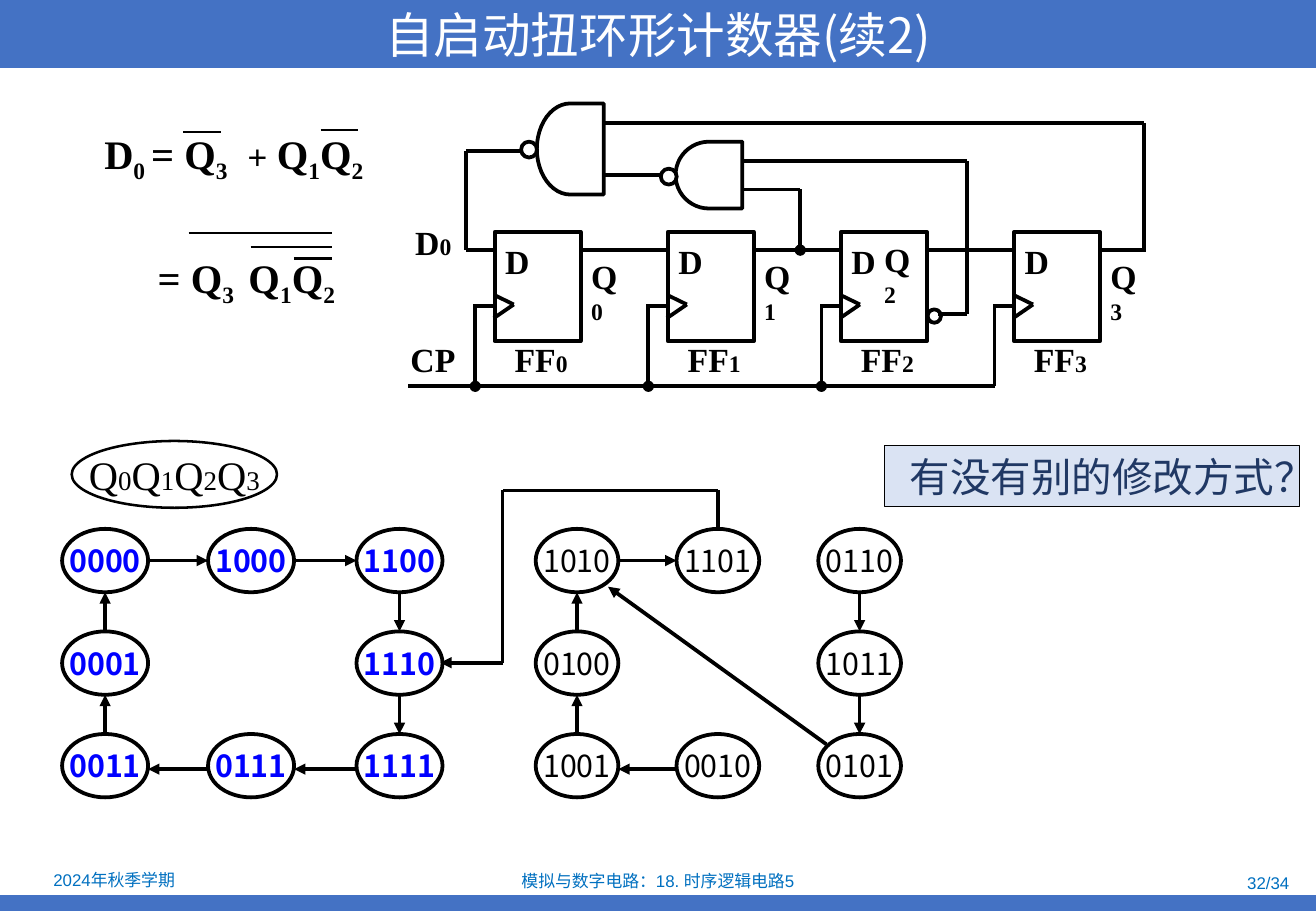
from lxml.etree import SubElement
from pptx import Presentation
from pptx.dml.color import RGBColor
from pptx.enum.shapes import MSO_CONNECTOR as Connector, MSO_SHAPE as Shape
from pptx.enum.text import MSO_ANCHOR as Anchor, MSO_AUTO_SIZE as AutoSize, PP_ALIGN as Align
from pptx.oxml.ns import qn
from pptx.util import Pt

SERIF, SANS, CHINESE = "Times New Roman", "Arial", "Noto Sans CJK SC"
BLACK, WHITE, BLUE, BAND, FOOTER = "000000", "FFFFFF", "0000FF", "4472C4", "0070C0"
WIRE = 2.25
FLIP_FLOP_LEFT, FLIP_FLOP_PITCH, FLIP_FLOP_WIDTH = 293.2, 102.6, 51
DATA_Y, CLOCK_Y, BUS_Y = 148.3, 181.5, 229
STATE_TOP, STATE_PITCH, STATE_HEIGHT = 313.5, 60.8, 37.6


def color(value):
    return RGBColor.from_string(value)


def symbols(*pieces, **subscript):
    """Runs that alternate between plain text and subscripts."""
    return [(piece, subscript if index % 2 else {}) for index, piece in enumerate(pieces)]


def add_run(paragraph, text, font=SERIF, size=20, bold=False, fill=BLACK, baseline=0):
    run = paragraph.add_run()
    run.text = text
    run.font.name = font
    run.font.size = Pt(size)
    run.font.bold = bold
    run.font.color.rgb = color(fill)
    properties = run._r.get_or_add_rPr()
    if baseline:
        properties.set("baseline", str(baseline))
    SubElement(properties, qn("a:ea"), typeface=CHINESE)


def write(shape, runs, align=Align.LEFT, anchor=Anchor.MIDDLE, wrap=False, inset=None,
          grow=False, **style):
    """Fill a shape with one paragraph; runs is a string or (text, overrides) pairs."""
    frame = shape.text_frame
    frame.word_wrap = wrap
    frame.vertical_anchor = anchor
    if grow:
        frame.auto_size = AutoSize.SHAPE_TO_FIT_TEXT
    if inset is not None:
        frame.margin_left = frame.margin_right = Pt(inset)
        frame.margin_top = frame.margin_bottom = Pt(inset)
    paragraph = frame.paragraphs[0]
    paragraph.alignment = align
    for text, overrides in [(runs, {})] if isinstance(runs, str) else runs:
        add_run(paragraph, text, **{**style, **overrides})


def add_text(slide, left, top, width, height, runs, **style):
    write(slide.shapes.add_textbox(Pt(left), Pt(top), Pt(width), Pt(height)), runs, **style)


def add_label(slide, left, top, width, *pieces):
    add_text(slide, left, top, width, 31, symbols(*pieces, size=14),
             anchor=Anchor.TOP, grow=True, bold=True)


def add_formula(slide, left, top, width, runs):
    add_text(slide, left, top, width, 36, runs,
             anchor=Anchor.TOP, grow=True, size=24, bold=True)


def add_shape(slide, kind, left, top, width, height, fill=None, line=BLACK, weight=WIRE):
    shape = slide.shapes.add_shape(kind, Pt(left), Pt(top), Pt(width), Pt(height))
    shape.shadow.inherit = False
    if fill:
        shape.fill.solid()
        shape.fill.fore_color.rgb = color(fill)
    else:
        shape.fill.background()
    if line:
        shape.line.color.rgb = color(line)
        shape.line.width = Pt(weight)
    else:
        shape.line.fill.background()
    return shape


def add_line(slide, x1, y1, x2, y2, weight=WIRE, tail=None):
    """Straight line; tail is the type of the end mark at (x2, y2)."""
    connector = slide.shapes.add_connector(Connector.STRAIGHT, Pt(x1), Pt(y1), Pt(x2), Pt(y2))
    connector.line.color.rgb = color(BLACK)
    connector.line.width = Pt(weight)
    if tail:
        SubElement(connector.line._get_or_add_ln(), qn("a:tailEnd"), type=tail)
    SubElement(connector._element.spPr, qn("a:effectLst"))


def add_path(slide, *points, tail=None):
    for start, end in zip(points, points[1:]):
        add_line(slide, *start, *end, tail=tail if end == points[-1] else None)


def add_flip_flop(slide, index):
    left = FLIP_FLOP_LEFT + index * FLIP_FLOP_PITCH
    right = left + FLIP_FLOP_WIDTH
    clock_x = left - 11.5
    add_label(slide, left - 0.8, 139, 28.8, "D")
    add_shape(slide, Shape.RECTANGLE, left, 137.5, FLIP_FLOP_WIDTH, 64.8)
    add_path(slide, (left, 175), (left + 11.3, 180.5), (left - 0.5, 188.6))
    add_label(slide, left + 4.7, 197.3, 46, "FF", str(index))
    if index == 2:
        add_label(slide, left + 18.6, 138.2, 36.7, "Q", "2")
    else:
        add_label(slide, right - 0.9, 148.3, 36.7, "Q", str(index))
    add_line(slide, clock_x, CLOCK_Y, left, CLOCK_Y)
    add_line(slide, clock_x, CLOCK_Y - 1, clock_x, BUS_Y, tail="oval" if index < 3 else None)
    output_length = FLIP_FLOP_PITCH - FLIP_FLOP_WIDTH if index < 3 else 27
    add_line(slide, right, DATA_Y, right + output_length, DATA_Y)


def add_nand(slide, left, top, width, height, bubble_left, bubble_top):
    gate = add_shape(slide, Shape.FLOWCHART_DELAY, left, top, width, height, WHITE)
    gate.rotation = 180
    add_shape(slide, Shape.OVAL, bubble_left, bubble_top, 9.4, 9.4, WHITE)


def add_circuit(slide):
    for index in range(4):
        add_flip_flop(slide, index)
    add_shape(slide, Shape.OVAL, 549.8, 183.4, 7.9, 7.9)
    add_line(slide, 242, BUS_Y, 590, BUS_Y)
    add_label(slide, 239, 128.2, 36, "D", "0")
    add_label(slide, 236.2, 197.3, 41, "CP")
    add_path(slide, (293.2, DATA_Y), (276.2, DATA_Y), (276.2, 89.5), (309.6, 89.5))
    add_path(slide, (678.2, DATA_Y), (678.2, 72.7), (357.8, 72.7))
    add_path(slide, (556, 186.3), (573.1, 186.3), (573.1, 95.3), (440, 95.3))
    add_path(slide, (440, 112.3), (474.3, 112.3), (474.3, DATA_Y), tail="oval")
    add_line(slide, 391.7, 103.8, 357.8, 103.8)
    add_nand(slide, 400.4, 84, 39.6, 39.6, 391.7, 100)
    add_nand(slide, 318.2, 61.3, 39.6, 54, 308.9, 84)


def add_formulas(slide):
    base = dict(baseline=-25000)
    product = symbols("Q", "1", "Q", "2", **base)
    plus = ("+ ", dict(font=SANS, size=20, bold=False))
    add_formula(slide, 54.7, 72.7, 90, symbols("D", "0 ", "= Q", "3", **base))
    add_formula(slide, 139.7, 72.7, 85, [plus] + product)
    add_formula(slide, 86.4, 146.2, 60.5, symbols("= Q", "3", **base))
    add_formula(slide, 140.2, 146.2, 68, product)
    for left, right, y in ((108.7, 131, 78.3), (190, 212.4, 77), (174.2, 196.6, 153.4),
                           (148.5, 196.6, 146.3), (111.8, 196.6, 138)):
        add_line(slide, left, y, right, y, weight=1.5)


def add_states(slide, rows, columns, width, transitions, **style):
    """Grid of states, with an arrow for each (start, end) transition."""
    centers = {}
    for row, codes in enumerate(rows):
        top = STATE_TOP + row * STATE_PITCH
        for left, code in zip(columns, codes):
            if code:
                centers[code] = left + width / 2, top + STATE_HEIGHT / 2
                state = add_shape(slide, Shape.OVAL, left, top, width, STATE_HEIGHT)
                write(state, code, align=Align.CENTER, inset=0, font=CHINESE, size=18, **style)
    for start, end in transitions:
        (x1, y1), (x2, y2) = centers[start], centers[end]
        if x1 == x2:
            reach = STATE_HEIGHT / 2 if y2 > y1 else -STATE_HEIGHT / 2
            add_line(slide, x1, y1 + reach, x2, y2 - reach, tail="triangle")
        else:
            reach = width / 2 if x2 > x1 else -width / 2
            y = y1 if x2 > x1 else y1 + 2
            add_line(slide, x1 + reach, y, x2 - reach, y, tail="triangle")


def add_state_diagram(slide):
    legend = add_shape(slide, Shape.OVAL, 42.5, 261.4, 121.7, 39.6, weight=1.5)
    write(legend, symbols("Q", "0", "Q", "1", "Q", "2", "Q", "3", size=16),
          align=Align.CENTER, inset=0, size=24)
    cycle = ["0000", "1000", "1100", "1110", "1111", "0111", "0011", "0001", "0000"]
    add_states(slide, [("0000", "1000", "1100"), ("0001", None, "1110"), ("0011", "0111", "1111")],
               (36.8, 123.3, 211.3), 51, zip(cycle, cycle[1:]), bold=True, fill=BLUE)
    add_states(slide, [("1010", "1101", "0110"), ("0100", None, "1011"), ("1001", "0010", "0101")],
               (317.5, 401, 485), 49,
               [("0010", "1001"), ("1001", "0100"), ("0100", "1010"), ("1010", "1101"),
                ("0110", "1011"), ("1011", "0101")])
    add_line(slide, 489.8, 441.2, 360.4, 347.8, tail="triangle")
    add_path(slide, (425.5, 313.5), (425.5, 290.7), (297.9, 290.7), (297.9, 392.8),
             (261, 392.8), tail="triangle")


def add_page_frame(slide):
    add_shape(slide, Shape.RECTANGLE, 0, 530.6, 780, 9.4, BAND, None)
    title = add_shape(slide, Shape.RECTANGLE, 0, 0, 780, 40.3, BAND, None)
    write(title, "自启动扭环形计数器(续2)", align=Align.CENTER, wrap=True,
          font=CHINESE, size=28.8, fill=WHITE)
    for left, top, width, text, align in (
            (1.4, 513.7, 132.5, "2024年秋季学期", Align.CENTER),
            (266.4, 514, 247, "模拟与数字电路：18. 时序逻辑电路5", Align.CENTER),
            (589, 515.2, 182.2, "32/34", Align.RIGHT)):
        add_text(slide, left, top, width, 15.8, text, align=align, wrap=True,
                 font=SANS, size=10, fill=FOOTER)


def main():
    presentation = Presentation()
    presentation.slide_width, presentation.slide_height = Pt(780), Pt(540)
    slide = presentation.slides.add_slide(presentation.slide_layouts[6])
    add_page_frame(slide)
    add_circuit(slide)
    add_formulas(slide)
    add_state_diagram(slide)
    question = add_shape(slide, Shape.RECTANGLE, 524.2, 264.2, 246.2, 36, "DAE3F3", weight=0.75)
    write(question, "有没有别的修改方式？", align=Align.CENTER, anchor=Anchor.TOP, wrap=True,
          grow=True, font=CHINESE, size=24, fill="203864")
    presentation.save("out.pptx")


if __name__ == "__main__":
    main()
